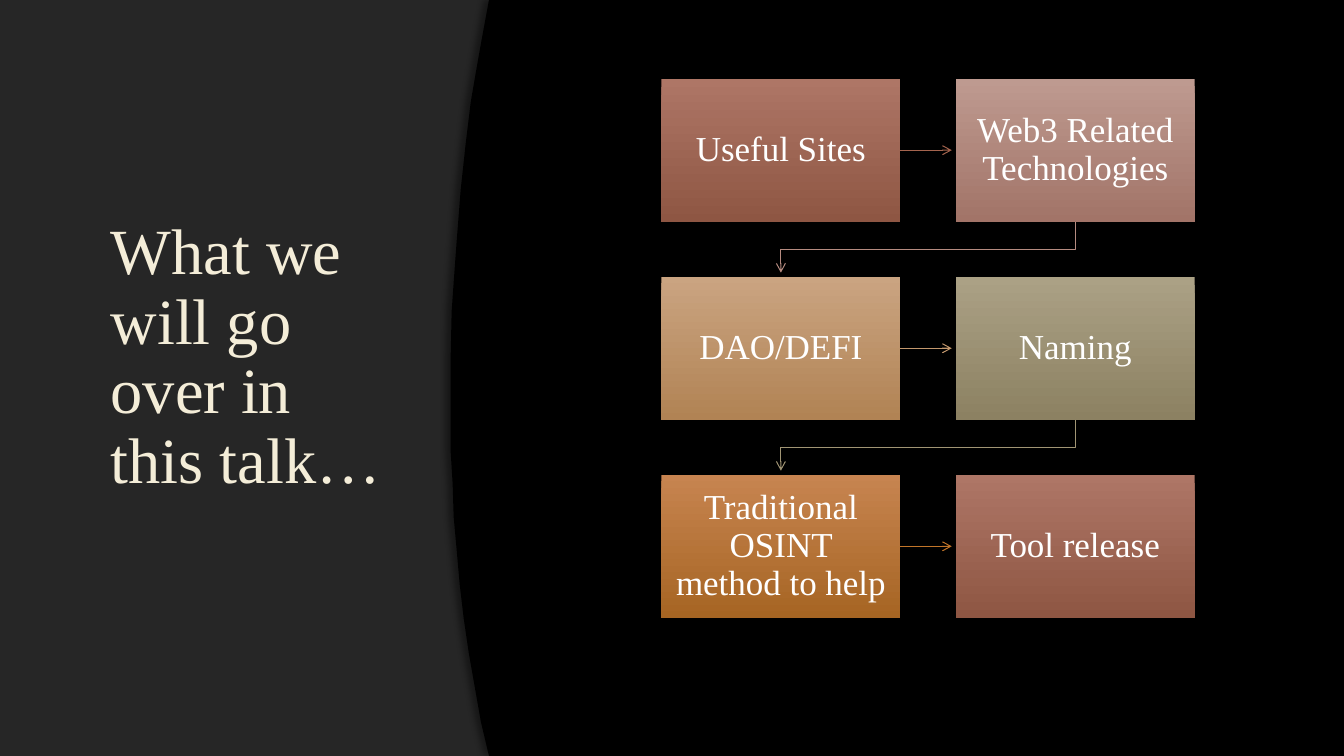
from lxml import etree
from pptx import Presentation
from pptx.dml.color import RGBColor
from pptx.enum.shapes import MSO_CONNECTOR, MSO_SHAPE
from pptx.enum.text import MSO_ANCHOR, PP_ALIGN
from pptx.oxml import parse_xml
from pptx.oxml.ns import qn
from pptx.util import Inches, Pt

TITLE = "What we will go over in this talk…"
# Topic, gradient top, gradient bottom, colour of the arrow to the next topic
TOPICS = [
    ("Useful Sites", "AE7666", "8E5643", "A5644E"),
    ("Web3 Related Technologies", "BE9A90", "A27468", "B58B80"),
    ("DAO/DEFI", "CAA481", "B18354", "C3986D"),
    ("Naming", "ABA185", "8C8162", "A19574"),
    ("Traditional OSINT method to help", "C78450", "A66523", "C17529"),
    ("Tool release", "AE7666", "8E5643", None),
]
# Left edge of the dark panel, from bottom to top
PANEL_EDGE = [
    (4.85, 7.5), (4.77, 7.16), (4.71, 6.82), (4.65, 6.48), (4.6, 6.14),
    (4.56, 5.8), (4.53, 5.46), (4.5, 5.13), (4.49, 4.8), (4.47, 4.48),
    (4.47, 4.0), (4.47, 3.54), (4.48, 3.09), (4.5, 2.8), (4.53, 2.39),
    (4.57, 1.88), (4.62, 1.42), (4.67, 1.01), (4.73, 0.66), (4.78, 0.38),
    (4.85, 0),
]

FONT = "Times New Roman"
SLIDE_W, SLIDE_H = 13.33, 7.5
COLUMNS, ROWS = 2, 3
GRID_LEFT, GRID_TOP, GRID_RIGHT, GRID_BOTTOM = 6.56, 0.78, 11.85, 6.13
BOX_W, BOX_H = 2.37, 1.42
PITCH_X = (GRID_RIGHT - GRID_LEFT - BOX_W) / (COLUMNS - 1)
PITCH_Y = (GRID_BOTTOM - GRID_TOP - BOX_H) / (ROWS - 1)
ARROW_GAP = 0.04
RIGHT_SIDE = 3
DRAWING_NS = 'xmlns:a="http://schemas.openxmlformats.org/drawingml/2006/main"'


def rgb(value):
    return RGBColor.from_string(value)


def shadow_effect(alpha, blur, distance, angle):
    """Black outer shadow; alpha in percent, lengths in points, angle in degrees."""
    return parse_xml(
        f'<a:effectLst {DRAWING_NS}><a:outerShdw blurRad="{Pt(blur)}" '
        f'dist="{Pt(distance)}" dir="{angle * 60000}" algn="ctr" rotWithShape="0">'
        f'<a:srgbClr val="000000"><a:alpha val="{alpha * 1000}"/></a:srgbClr>'
        '</a:outerShdw></a:effectLst>')


def set_shadow(shape, *settings):
    shape.shadow.inherit = False
    properties = shape._element.spPr
    properties.replace(properties.find(qn("a:effectLst")), shadow_effect(*settings))


def set_text(shape, text, size, color, align):
    frame = shape.text_frame
    frame.text = text
    frame.word_wrap = True
    frame.vertical_anchor = MSO_ANCHOR.MIDDLE
    paragraph = frame.paragraphs[0]
    paragraph.alignment = align
    paragraph.line_spacing = 0.9
    run = paragraph.runs[0]
    run.font.size = Pt(size)
    run.font.name = FONT
    run.font.color.rgb = rgb(color)
    return run


def add_path(points, closed):
    corners = [(Inches(x), Inches(y)) for x, y in points]
    builder = slide.shapes.build_freeform(*corners[0])
    builder.add_line_segments(corners[1:], close=closed)
    shape = builder.convert_to_shape()
    shape.shadow.inherit = False
    return shape


def style_arrow(arrow, color):
    arrow.line.color.rgb = rgb(color)
    arrow.line.width = Pt(0.75)
    line = arrow.line._get_or_add_ln()
    etree.SubElement(line, qn("a:tailEnd"), type="arrow")


def add_title():
    box = slide.shapes.add_textbox(Inches(1), Inches(0.67), Inches(3.06), Inches(5.77))
    run = set_text(box, TITLE, 46, "F4EDD8", PP_ALIGN.LEFT)
    properties = run.font._element
    properties.insert(0, parse_xml(
        f'<a:ln {DRAWING_NS} w="{Pt(0.75)}"><a:solidFill><a:srgbClr val="404040">'
        '<a:alpha val="10000"/></a:srgbClr></a:solidFill></a:ln>'))
    properties.find(qn("a:solidFill")).addnext(shadow_effect(40, 3, 2, 45))


def add_topic(text, top_color, bottom_color, left, top):
    box = slide.shapes.add_shape(
        MSO_SHAPE.RECTANGLE, Inches(left), Inches(top), Inches(BOX_W), Inches(BOX_H))
    box.fill.gradient()
    box.fill.gradient_angle = 270
    for stop, color in zip(box.fill.gradient_stops, (top_color, bottom_color)):
        stop.color.rgb = rgb(color)
    box.line.fill.background()
    set_shadow(box, 60, 5, 2, 90)
    frame = box.text_frame
    frame.margin_left = frame.margin_right = Inches(0.12)
    frame.margin_top = frame.margin_bottom = Inches(0.12)
    set_text(box, text, 25, "FFFFFF", PP_ALIGN.CENTER)
    return box


def add_arrow_across(box, color, left, top):
    middle = Inches(top + BOX_H / 2)
    arrow = slide.shapes.add_connector(
        MSO_CONNECTOR.STRAIGHT, Inches(left + BOX_W), middle,
        Inches(left + PITCH_X - ARROW_GAP), middle)
    arrow.begin_connect(box, RIGHT_SIDE)
    style_arrow(arrow, color)
    etree.SubElement(arrow._element.spPr, qn("a:effectLst"))


def add_arrow_to_next_row(color, left, top):
    start_x, end_x = left + BOX_W / 2, GRID_LEFT + BOX_W / 2
    start_y, end_y = top + BOX_H, top + PITCH_Y
    turn_y = (start_y + end_y) / 2
    arrow = add_path([(start_x, start_y), (start_x, turn_y), (end_x, turn_y),
                      (end_x, end_y - ARROW_GAP)], closed=False)
    arrow.fill.background()
    style_arrow(arrow, color)


prs = Presentation()
prs.slide_width, prs.slide_height = Inches(SLIDE_W), Inches(SLIDE_H)
slide = prs.slides.add_slide(prs.slide_layouts[6])
slide.background.fill.solid()
slide.background.fill.fore_color.rgb = rgb("000000")

backdrop = slide.shapes.add_shape(
    MSO_SHAPE.RECTANGLE, 0, 0, prs.slide_width, prs.slide_height)
panel_corners = [(SLIDE_W, 0), (SLIDE_W, SLIDE_H)]
panel = add_path(panel_corners + PANEL_EDGE, closed=True)
for area, color in ((backdrop, "262626"), (panel, "000000")):
    area.fill.solid()
    area.fill.fore_color.rgb = rgb(color)
    area.line.fill.background()
backdrop.shadow.inherit = False
set_shadow(panel, 40, 4, 3, 180)
add_title()

for index, (text, top_color, bottom_color, arrow_color) in enumerate(TOPICS):
    row, column = divmod(index, COLUMNS)
    left, top = GRID_LEFT + column * PITCH_X, GRID_TOP + row * PITCH_Y
    box = add_topic(text, top_color, bottom_color, left, top)
    if arrow_color and column < COLUMNS - 1:
        add_arrow_across(box, arrow_color, left, top)
    elif arrow_color:
        add_arrow_to_next_row(arrow_color, left, top)

prs.save("out.pptx")
